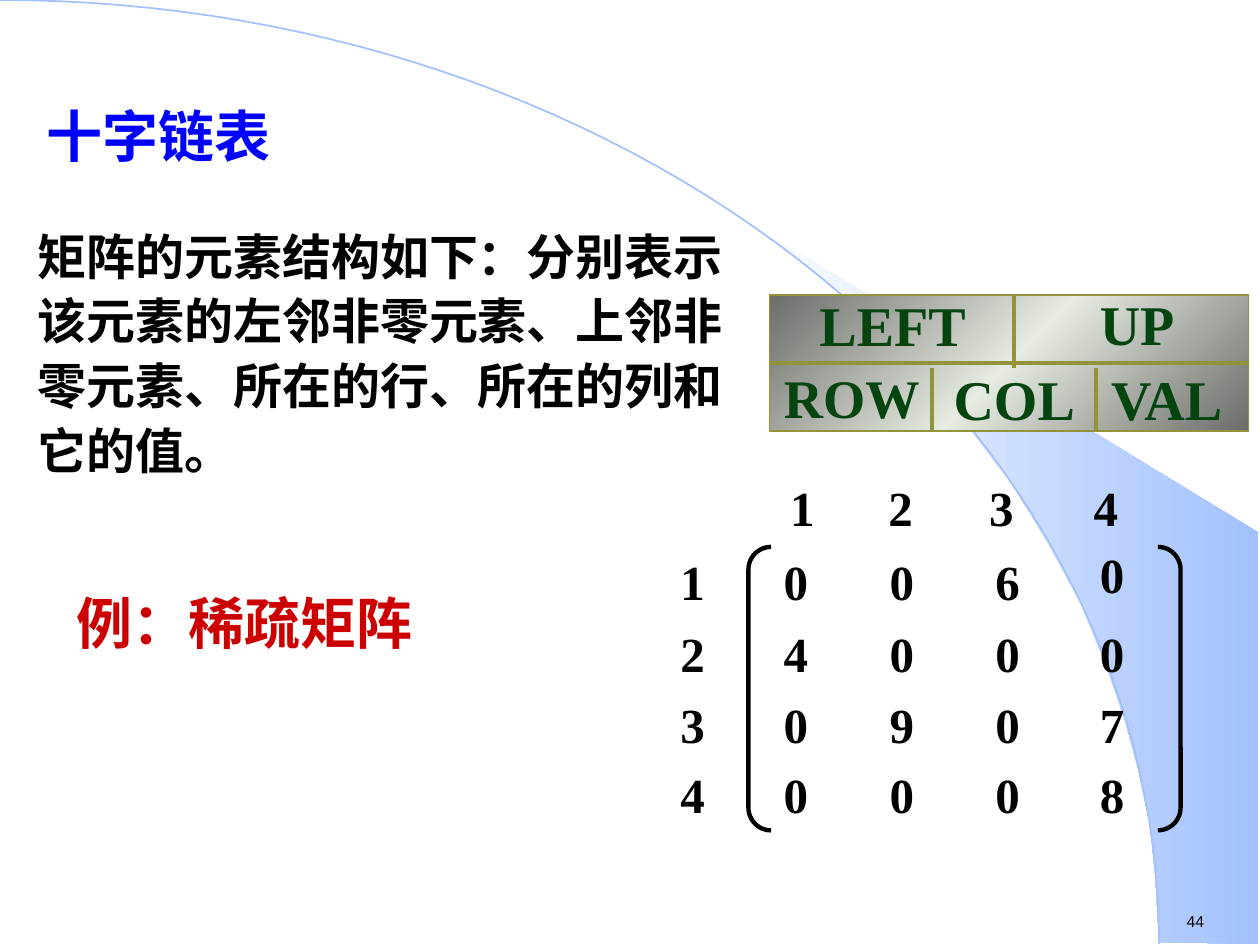
from copy import deepcopy
from math import cos, pi, sin

from lxml import etree
from pptx import Presentation
from pptx.dml.color import RGBColor
from pptx.enum.shapes import MSO_CONNECTOR, MSO_SHAPE
from pptx.enum.text import PP_ALIGN
from pptx.oxml.ns import qn
from pptx.util import Emu, Pt

PX = 9144  # EMU; one hundred px to the inch
RECTANGLE, BRACKETS = MSO_SHAPE.RECTANGLE, MSO_SHAPE.DOUBLE_BRACKET
STRAIGHT = MSO_CONNECTOR.STRAIGHT
LEFT, CENTER = PP_ALIGN.LEFT, PP_ALIGN.CENTER
LEFT_SIDE, RIGHT_SIDE = 1, 3

WHITE = RGBColor(0xFF, 0xFF, 0xFF)
BLACK = RGBColor(0, 0, 0)
SKY = RGBColor(0xA2, 0xC1, 0xFE)
GRAY = RGBColor(0x6A, 0x6D, 0x68)
PALE = RGBColor(0xE6, 0xEB, 0xE1)
OLIVE = RGBColor(0x93, 0x93, 0x39)
GREEN = RGBColor(0x04, 0x44, 0x0F)
BLUE = RGBColor(0, 0, 0xFF)
RED = RGBColor(0xCC, 0, 0)

WEDGE = [(920, 748), (999, 749), (999, 423), (589, 173), (624, 199), (653, 222),
         (685, 250), (716, 280), (762, 330), (803, 384), (832, 431), (858, 479),
         (878, 528), (893, 572), (903, 609), (913, 656), (917, 696)]
ARC_WIDTH, ARC_HEIGHT, ARC_STEPS = 920, 749, 60

FIELDS = [("LEFT", 611, 226, 195, 32), ("UP", 805, 225, 195, 32),
          ("ROW", 611, 284, 130, 31), ("COL", 740, 284, 130, 32),
          ("VAL", 861, 284, 130, 32)]
DIVIDERS = [(805, 234, 292), (740, 292, 342), (870, 292, 342)]

MATRIX = ["0060", "4000", "0907", "0008"]
COLUMN_LEFTS = [622, 706, 790, 873]
ROW_TOPS = [438, 495, 551, 607]
HEADING_LEFTS = [627, 705, 785, 868]
HEADING_TOP, ROW_LABEL_LEFT = 379, 540
RAISED_CELL, RAISED_BY = (0, 3), 6


def emu(px):
    return Emu(round(px * PX))


class Painter:
    def __init__(self, slide, font="Times New Roman"):
        self.slide = slide
        self.font = font

    def text(self, words, left, top, width, height, size, color=BLACK, align=LEFT,
             bold=True, font=None, spacing=None, tight=False):
        """Add one paragraph; a tight box has no margins and does not wrap."""
        box = self.slide.shapes.add_textbox(*map(emu, (left, top, width, height)))
        frame = box.text_frame
        frame.word_wrap = not tight
        if tight:
            frame.margin_left = frame.margin_right = 0
            frame.margin_top = frame.margin_bottom = 0
        para = frame.paragraphs[0]
        para.text = words
        para.alignment = align
        if spacing:
            para.line_spacing = spacing
        para.font.name = font or self.font
        para.font.size = Pt(size)
        para.font.bold = bold
        para.font.color.rgb = color

    def digit(self, words, left, top):
        self.text(words, left, top, 19, 47, 28, tight=True)

    def outline(self, shape, color, weight):
        shape.shadow.inherit = False
        if color is None:
            shape.line.fill.background()
        else:
            shape.line.color.rgb = color
            shape.line.width = Pt(weight)

    def gradient(self, shape, colors, angle):
        """Fill with evenly spaced colors."""
        shape.fill.gradient()
        shape.fill.gradient_angle = angle
        stop_list = shape._element.spPr.find(".//" + qn("a:gsLst"))
        while len(stop_list) < len(colors):
            stop_list.append(deepcopy(stop_list[-1]))
        for index, (stop, color) in enumerate(zip(shape.fill.gradient_stops, colors)):
            stop.color.rgb = color
            stop.position = index / (len(colors) - 1)

    def shape(self, preset, left, top, width, height, color, weight):
        shape = self.slide.shapes.add_shape(preset, *map(emu, (left, top, width, height)))
        self.outline(shape, color, weight)
        return shape

    def freeform(self, points, close, color=None, weight=1):
        corners = [(emu(x), emu(y)) for x, y in points]
        builder = self.slide.shapes.build_freeform(*corners[0])
        builder.add_line_segments(corners[1:], close=close)
        shape = builder.convert_to_shape()
        self.outline(shape, color, weight)
        return shape

    def line(self, x1, y1, x2, y2, color, weight):
        line = self.slide.shapes.add_connector(STRAIGHT, *map(emu, (x1, y1, x2, y2)))
        line.line.color.rgb = color
        line.line.width = Pt(weight)
        etree.SubElement(line._element.spPr, qn("a:effectLst"))
        return line


def draw_background(painter):
    wedge = painter.freeform(WEDGE, close=True)
    painter.gradient(wedge, [WHITE, SKY], 0)
    angles = [pi / 2 * step / ARC_STEPS for step in range(ARC_STEPS + 1)]
    curve = [(ARC_WIDTH * sin(angle), ARC_HEIGHT * (1 - cos(angle))) for angle in angles]
    arc = painter.freeform(curve, close=False, color=SKY)
    arc.fill.background()
    painter.text("44", 932, 719, 77, 25, 9, bold=False, font="Arial")


def draw_node(painter):
    node = painter.shape(RECTANGLE, 611, 234, 380, 108, OLIVE, 0.75)
    painter.gradient(node, [GRAY, PALE, GRAY], 315)
    middle = painter.line(611, 288, 991, 288, OLIVE, 2.25)
    middle.begin_connect(node, LEFT_SIDE)
    middle.end_connect(node, RIGHT_SIDE)
    for x, top, bottom in DIVIDERS:
        painter.line(x, top, x, bottom, OLIVE, 2.25)
    for name, left, top, width, size in FIELDS:
        painter.text(name, left, top, width, 64, size, GREEN, CENTER)


def draw_matrix(painter):
    for row, (values, top) in enumerate(zip(MATRIX, ROW_TOPS)):
        painter.digit(str(row + 1), ROW_LABEL_LEFT, top)
        for column, (value, left) in enumerate(zip(values, COLUMN_LEFTS)):
            lift = RAISED_BY if (row, column) == RAISED_CELL else 0
            painter.digit(value, left, top - lift)
    for number, left in enumerate(HEADING_LEFTS, 1):
        painter.digit(str(number), left, HEADING_TOP)
    brackets = painter.shape(BRACKETS, 594, 434, 343, 225, BLACK, 2.5)
    brackets.adjustments[0] = 0.08
    brackets.fill.background()


def main():
    deck = Presentation()
    deck.slide_width, deck.slide_height = emu(1000), emu(750)
    painter = Painter(deck.slides.add_slide(deck.slide_layouts[6]))
    draw_background(painter)
    draw_node(painter)
    painter.text("十字链表", 27, 76, 354, 64, 32, BLUE)
    painter.text("矩阵的元素结构如下：分别表示该元素的左邻非零元素、上邻非零元素、"
                 "所在的行、所在的列和它的值。", 20, 170, 571, 216, 28, spacing=1.1)
    painter.text("例：稀疏矩阵", 51, 462, 303, 64, 32, RED)
    draw_matrix(painter)
    deck.save("out.pptx")


if __name__ == "__main__":
    main()
